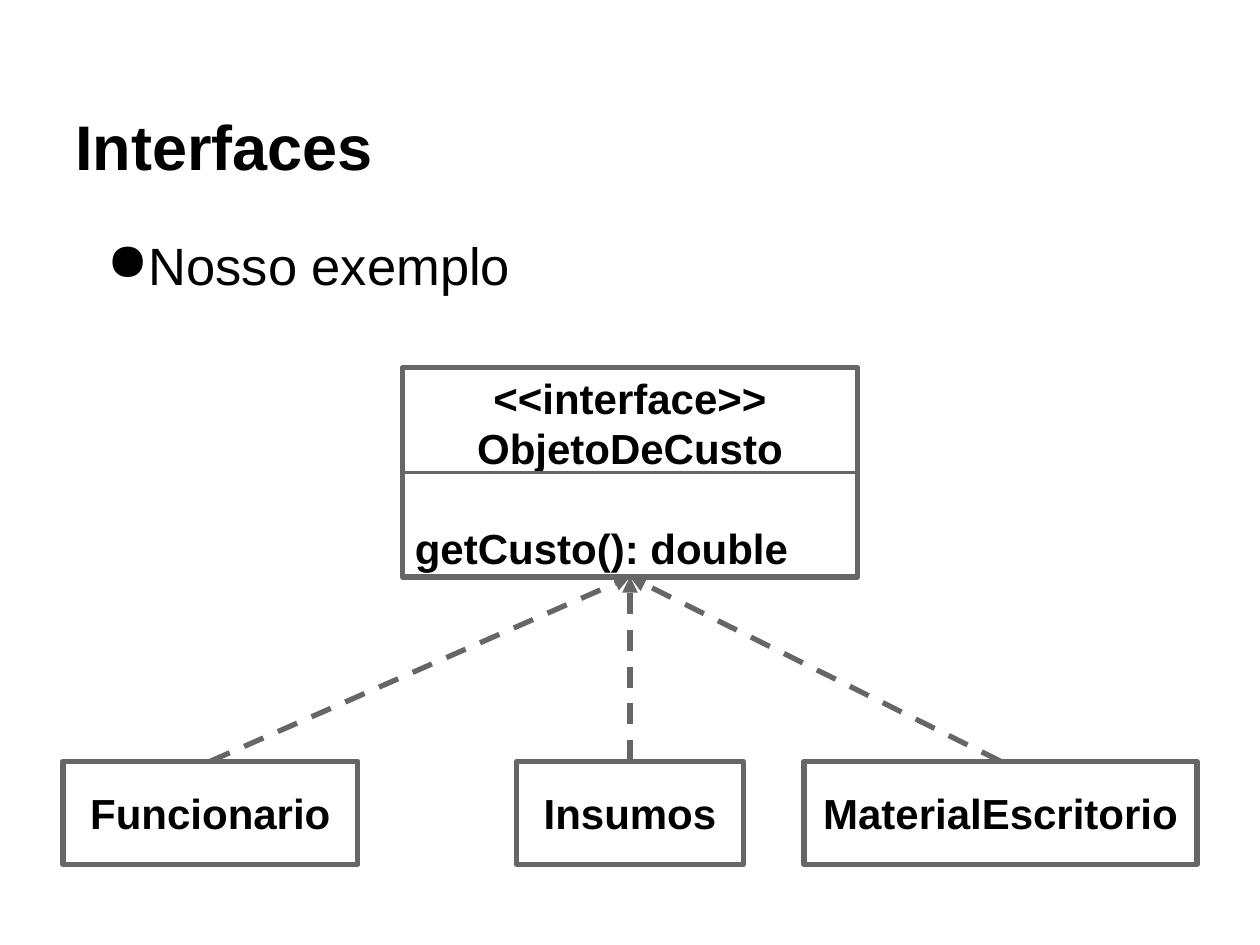
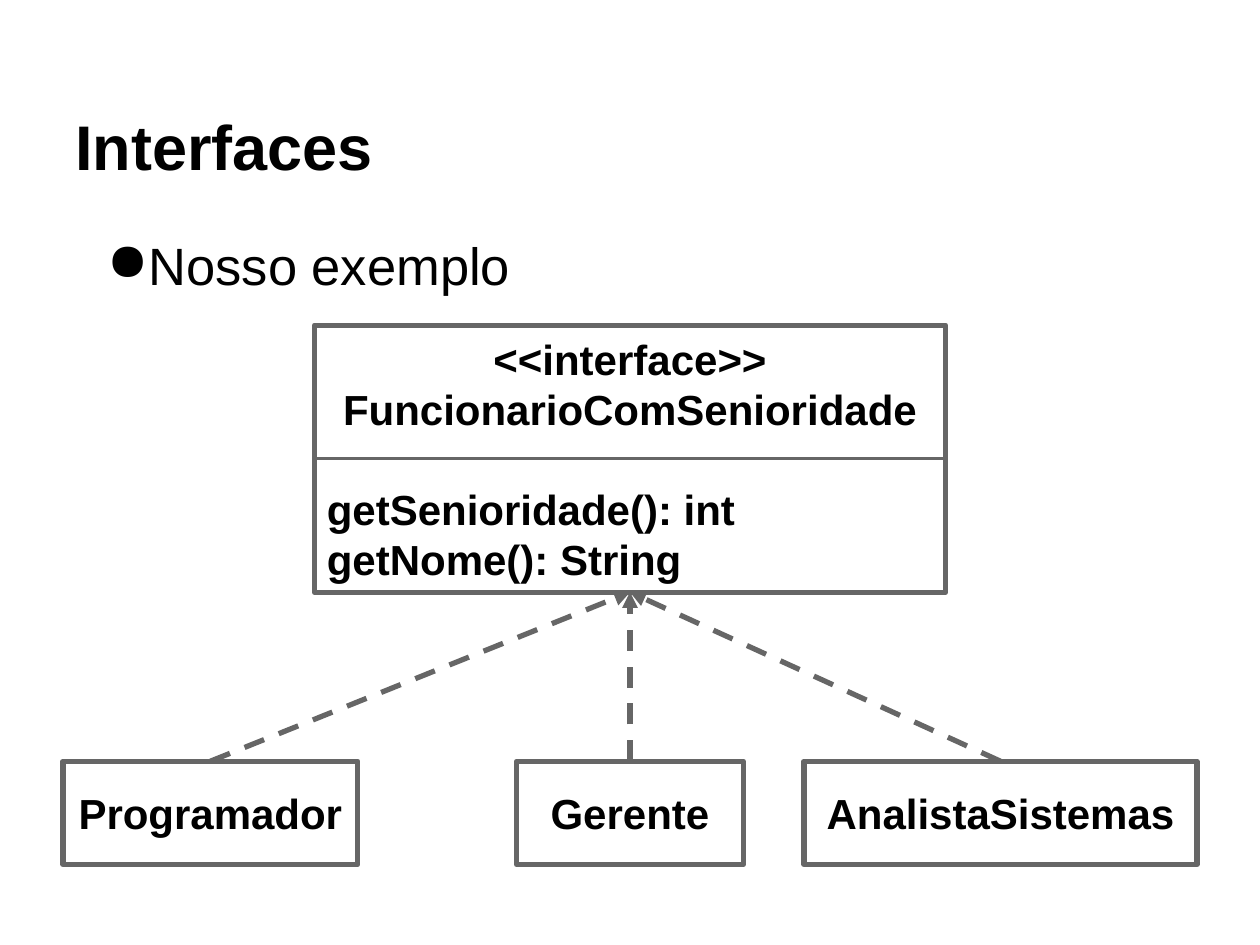
from lxml import etree
from pptx import Presentation
from pptx.dml.color import RGBColor
from pptx.enum.dml import MSO_LINE
from pptx.enum.shapes import MSO_CONNECTOR, MSO_SHAPE
from pptx.enum.text import MSO_ANCHOR as ANCHOR, PP_ALIGN as ALIGN
from pptx.oxml.ns import qn
from pptx.util import Pt

BLACK = RGBColor(0x00, 0x00, 0x00)
WHITE = RGBColor(0xFF, 0xFF, 0xFF)
GRAY = RGBColor(0x66, 0x66, 0x66)

TOP, LEFT, BOTTOM, RIGHT = range(4)  # connection sites of a rectangle
SLIDE_W, SLIDE_H = 720, 540
CLASS_TOP, CLASS_H = 435, 59
CLASS_COLUMNS = [(36, 168.5), (295.2, 129.6), (459.4, 224.6)]  # left, width


class Deck:
    """Holds the shared style and the current slide."""

    FONT = "Arial"
    INSET = 7.2
    TITLE = {"size": Pt(36), "bold": True}
    BODY = {"size": Pt(30), "bold": False}
    LABEL = {"size": Pt(24), "bold": True}

    def __init__(self):
        self.prs = Presentation()
        self.prs.slide_width, self.prs.slide_height = Pt(SLIDE_W), Pt(SLIDE_H)
        self.s = None

    def new_slide(self):
        self.s = self.prs.slides.add_slide(self.prs.slide_layouts[6])

    def frame(self, sp, anchor):
        tf = sp.text_frame
        fmt = {"word_wrap": True, "vertical_anchor": anchor}
        for side in ("left", "top", "right", "bottom"):
            fmt["margin_" + side] = Pt(self.INSET)
        for name, value in fmt.items():
            setattr(tf, name, value)
        return tf

    def fill_line(self, p, text, style, align=ALIGN.LEFT, before=0):
        p.alignment, p.space_before = align, Pt(before)
        r = p.add_run()
        r.text = text
        for name, value in {"name": self.FONT, **style}.items():
            setattr(r.font, name, value)
        r.font.color.rgb = BLACK

    def text(self, x, y, w, h, text, style, anchor=ANCHOR.TOP):
        sp = self.s.shapes.add_textbox(Pt(x), Pt(y), Pt(w), Pt(h))
        p = self.frame(sp, anchor).paragraphs[0]
        self.fill_line(p, text, style)
        return p

    def title(self, text):
        self.text(36, 21.6, 648, 90, text, self.TITLE, ANCHOR.BOTTOM)

    def bullet(self, text):
        p = self.text(36, 126, 648, 391, text, self.BODY)
        pPr = p._p.get_or_add_pPr()
        pPr.set("marL", str(Pt(36)))
        pPr.set("indent", str(Pt(-18)))
        etree.SubElement(pPr, qn("a:buChar")).set("char", "●")

    def stroke(self, line, width):
        line.color.rgb, line.width = GRAY, Pt(width)

    def box(self, x, y, w, h, lines):
        """Rectangle with lines given as (text, alignment, space before)."""
        sp = self.s.shapes.add_shape(MSO_SHAPE.RECTANGLE, Pt(x), Pt(y), Pt(w), Pt(h))
        sp.shadow.inherit = False
        sp.fill.solid()
        sp.fill.fore_color.rgb = WHITE
        self.stroke(sp.line, 3)
        etree.SubElement(sp.line._get_or_add_ln(), qn("a:round"))
        tf = self.frame(sp, ANCHOR.MIDDLE)
        for i, (text, align, before) in enumerate(lines):
            p = tf.add_paragraph() if i else tf.paragraphs[0]
            self.fill_line(p, text, self.LABEL, align, before)
        return sp

    def join(self, start, start_site, end, end_site, width, arrow=False):
        c = self.s.shapes.add_connector(MSO_CONNECTOR.STRAIGHT, 0, 0, 0, 0)
        c.begin_connect(start, start_site)
        c.end_connect(end, end_site)
        self.stroke(c.line, width)
        if arrow:
            c.line.dash_style = MSO_LINE.DASH
        ln = c.line._get_or_add_ln()
        etree.SubElement(ln, qn("a:round"))
        if arrow:
            etree.SubElement(ln, qn("a:tailEnd")).set("type", "triangle")
        etree.SubElement(c._element.spPr, qn("a:effectLst"))

    def interface(self, y, w, h, name, methods):
        """Centred interface box, with a divider across its middle."""
        lines = [("<<interface>>", ALIGN.CENTER, 0), (name, ALIGN.CENTER, 0)]
        # The first method stands one line below the name
        lines += [(m, ALIGN.LEFT, 0 if i else 28) for i, m in enumerate(methods)]
        sp = self.box((SLIDE_W - w) / 2, y, w, h, lines)
        self.join(sp, LEFT, sp, RIGHT, 1.5)
        return sp

    def diagram(self, interface, classes):
        """Interface above a row of classes that implement it."""
        target = self.interface(*interface)
        boxes = [self.box(x, CLASS_TOP, w, CLASS_H, [(name, ALIGN.CENTER, 0)])
                 for (x, w), name in zip(CLASS_COLUMNS, classes)]
        for sp in boxes:
            self.join(sp, TOP, target, BOTTOM, 3, arrow=True)


# Interface (top, width, height, name, methods) and its classes, per slide
DIAGRAMS = [
    ((210.2, 260, 119.5, "ObjetoDeCusto", ["getCusto(): double"]),
     ["Funcionario", "Insumos", "MaterialEscritorio"]),
    ((185.8, 360.7, 152.6, "FuncionarioComSenioridade",
      ["getSenioridade(): int", "getNome(): String"]),
     ["Programador", "Gerente", "AnalistaSistemas"]),
]


def main():
    deck = Deck()
    for interface, classes in DIAGRAMS:
        deck.new_slide()
        deck.bullet("Nosso exemplo")
        deck.title("Interfaces")
        deck.diagram(interface, classes)
    deck.prs.save("out.pptx")


if __name__ == "__main__":
    main()
